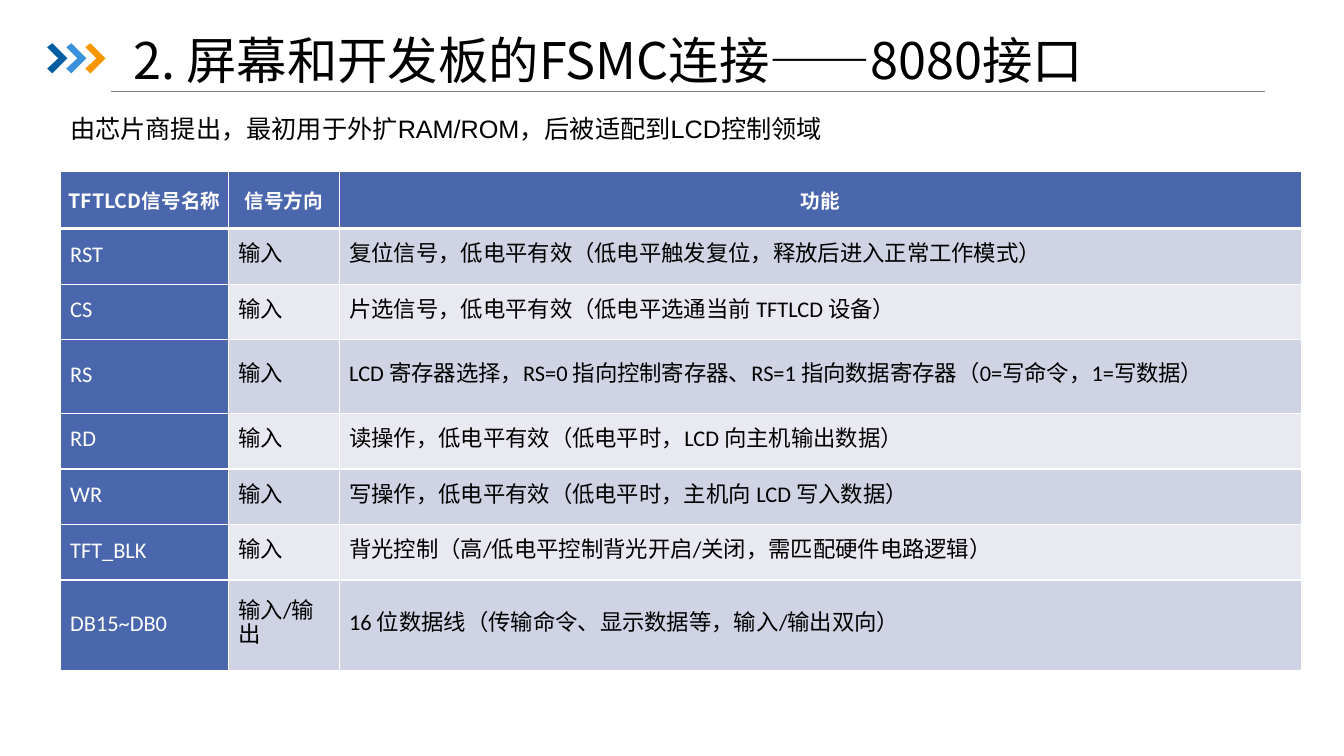
import dataclasses
import typing

import lxml.etree
import pptx
import pptx.dml.color
import pptx.enum.shapes
import pptx.enum.text
import pptx.oxml.ns
import pptx.util

Cm = pptx.util.Cm
Pt = pptx.util.Pt
Align = pptx.enum.text.PP_ALIGN
Anchor = pptx.enum.text.MSO_ANCHOR
qn = pptx.oxml.ns.qn


@dataclasses.dataclass(frozen=True)
class Theme:
    black: str = "000000"
    white: str = "FFFFFF"
    rule: str = "808080"
    head: str = "4A66AC"
    bands: tuple[str, ...] = ("D0D3E3", "E9EAF1")
    chevrons: tuple[str, ...] = ("005DA2", "3992DB", "F79600")
    chinese: str = "Noto Sans CJK SC"
    title_size: float = 36
    intro_size: float = 18
    header_size: float = 14
    body_size: float = 16
    body_leading: float = 16.8


@dataclasses.dataclass(frozen=True)
class TextStyle:
    face: str
    size: float
    colour: str
    bold: bool = False
    align: Align = Align.LEFT
    leading: typing.Any = None


@dataclasses.dataclass(frozen=True)
class Signal:
    name: str
    direction: str
    purpose: str
    height: float = 1.4


THEME = Theme()
TITLE = TextStyle(THEME.chinese, THEME.title_size, THEME.black, leading=0.9)
INTRO = TextStyle("Arial", THEME.intro_size, THEME.black)
HEADER = TextStyle(THEME.chinese, THEME.header_size, THEME.white, True, Align.CENTER)
NAME = TextStyle("Calibri", THEME.body_size, THEME.white, leading=Pt(THEME.body_leading))
BODY = dataclasses.replace(NAME, colour=THEME.black)

HEADER_MARGINS = {"margin_left": Cm(0.18), "margin_top": 0,
                  "margin_right": Cm(0.18), "margin_bottom": 0}
BODY_MARGINS = {"margin_left": Cm(0.25), "margin_top": Cm(0.25),
                "margin_right": Cm(0.53), "margin_bottom": Cm(0.25)}

COLUMN_WIDTHS = (4.24, 2.79, 24.25)
HEADER_HEIGHT = 1.4
HEADINGS = ("TFTLCD信号名称", "信号方向", "功能")
SIGNALS = (
    Signal("RST", "输入", "复位信号，低电平有效（低电平触发复位，释放后进入正常工作模式）"),
    Signal("CS", "输入", "片选信号，低电平有效（低电平选通当前 TFTLCD 设备）"),
    Signal("RS", "输入", "LCD 寄存器选择，RS=0 指向控制寄存器、RS=1 指向数据寄存器（0=写命令，1=写数据）", 1.86),
    Signal("RD", "输入", "读操作，低电平有效（低电平时，LCD 向主机输出数据）"),
    Signal("WR", "输入", "写操作，低电平有效（低电平时，主机向 LCD 写入数据）"),
    Signal("TFT_BLK", "输入", "背光控制（高/低电平控制背光开启/关闭，需匹配硬件电路逻辑）"),
    Signal("DB15~DB0", "输入/输出", "16 位数据线（传输命令、显示数据等，输入/输出双向）"),
)

CHEVRON = ((0, 0.1), (0.13, 0), (0.51, 0.38), (0.13, 0.76), (0, 0.64), (0.28, 0.38))
CHEVRON_LEFT, CHEVRON_TOP, CHEVRON_STEP = 1.19, 1.09, 0.48


def rgb(colour: str) -> pptx.dml.color.RGBColor:
    return pptx.dml.color.RGBColor.from_string(colour)


def apply(target: typing.Any, values: dict[str, typing.Any]) -> None:
    for name, value in values.items():
        setattr(target, name, value)


def write(frame: typing.Any, text: str, style: TextStyle) -> None:
    para = frame.paragraphs[0]
    apply(para, {"alignment": style.align, "line_spacing": style.leading})
    span = para.add_run()
    span.text = text
    apply(span.font, {"name": style.face, "size": Pt(style.size), "bold": style.bold})
    span.font.color.rgb = rgb(style.colour)
    lxml.etree.SubElement(span.font._element, qn("a:ea"), typeface=THEME.chinese)


def draw_rule(page: typing.Any) -> None:
    rule = page.shapes.add_connector(pptx.enum.shapes.MSO_CONNECTOR.STRAIGHT,
                                     Cm(2.79), Cm(2.31), Cm(31.88), Cm(2.31))
    rule.line.color.rgb = rgb(THEME.rule)
    rule.line.width = Pt(0.5)
    lxml.etree.SubElement(rule._element.spPr, qn("a:effectLst"))


def draw_chevron(page: typing.Any, left: float, colour: str) -> None:
    points = [(Cm(left + x), Cm(CHEVRON_TOP + y)) for x, y in CHEVRON]
    builder = page.shapes.build_freeform(*points[0], scale=1.0)
    builder.add_line_segments(points[1:], close=True)
    chevron = builder.convert_to_shape()
    chevron.shadow.inherit = False
    chevron.fill.solid()
    chevron.fill.fore_color.rgb = rgb(colour)
    chevron.line.fill.background()


def draw_title(page: typing.Any) -> None:
    title = page.shapes.title
    apply(title, {"left": Cm(3.1), "top": Cm(1.04), "width": Cm(29.24), "height": Cm(1.09)})
    apply(title.text_frame, {"vertical_anchor": Anchor.MIDDLE, "word_wrap": True,
                             "auto_size": pptx.enum.text.MSO_AUTO_SIZE.NONE})
    write(title.text_frame, "2. 屏幕和开发板的FSMC连接——8080接口", TITLE)


def draw_intro(page: typing.Any) -> None:
    box = page.shapes.add_textbox(Cm(1.52), Cm(2.72), Cm(31.52), Cm(1.02))
    apply(box.text_frame, {"vertical_anchor": Anchor.MIDDLE, "word_wrap": True})
    write(box.text_frame, "由芯片商提出，最初用于外扩RAM/ROM，后被适配到LCD控制领域", INTRO)


def add_borders(cell: typing.Any, widths: dict[str, float]) -> None:
    """Put white borders on a cell; call before its fill is set."""
    properties = cell._tc.get_or_add_tcPr()
    for side, width in widths.items():
        line = lxml.etree.SubElement(properties, qn(f"a:ln{side}"), w=str(Pt(width)))
        fill = lxml.etree.SubElement(line, qn("a:solidFill"))
        lxml.etree.SubElement(fill, qn("a:srgbClr"), val=THEME.white)


def fill_cell(cell: typing.Any, text: str, style: TextStyle, fill: str,
              margins: dict[str, int], top: float, bottom: float) -> None:
    add_borders(cell, {"L": 1, "R": 1, "T": top, "B": bottom})
    cell.fill.solid()
    cell.fill.fore_color.rgb = rgb(fill)
    apply(cell, {"vertical_anchor": Anchor.MIDDLE, **margins})
    write(cell.text_frame, text, style)


def draw_table(page: typing.Any) -> None:
    heights = (HEADER_HEIGHT, *(signal.height for signal in SIGNALS))
    table = page.shapes.add_table(len(heights), len(COLUMN_WIDTHS), Cm(1.52), Cm(4.32),
                                  Cm(sum(COLUMN_WIDTHS)), Cm(sum(heights))).table
    apply(table, {"first_row": False, "horz_banding": False})
    for column, width in zip(table.columns, COLUMN_WIDTHS):
        column.width = Cm(width)
    for row, height in zip(table.rows, heights):
        row.height = Cm(height)
    for column, heading in enumerate(HEADINGS):
        fill_cell(table.cell(0, column), heading, HEADER, THEME.head, HEADER_MARGINS, 1, 3)
    for index, signal in enumerate(SIGNALS):
        band = THEME.bands[index % len(THEME.bands)]
        top = 1 if index else 3
        columns = ((signal.name, NAME, THEME.head),
                   (signal.direction, BODY, band),
                   (signal.purpose, BODY, band))
        for column, (text, style, fill) in enumerate(columns):
            fill_cell(table.cell(index + 1, column), text, style, fill, BODY_MARGINS, top, 1)


def main() -> None:
    deck = pptx.Presentation()
    apply(deck, {"slide_width": Cm(33.87), "slide_height": Cm(19.05)})
    page = deck.slides.add_slide(deck.slide_layouts[5])
    draw_rule(page)
    for index, colour in enumerate(THEME.chevrons):
        draw_chevron(page, CHEVRON_LEFT + index * CHEVRON_STEP, colour)
    draw_title(page)
    draw_table(page)
    draw_intro(page)
    deck.save("out.pptx")


if __name__ == "__main__":
    main()
